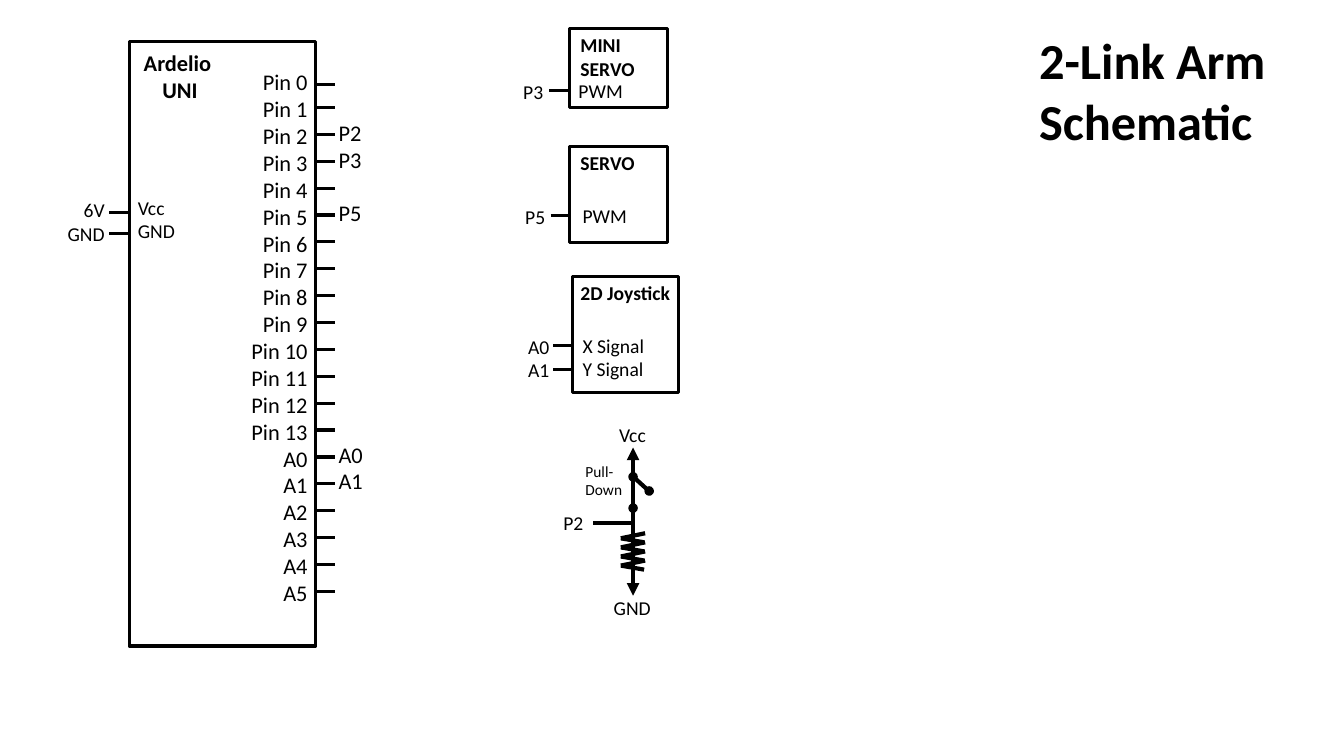
"""Builds the wiring schematic slide for a two-link arm."""
from lxml import etree
from pptx import Presentation
from pptx import util as u
from pptx.dml.color import RGBColor
from pptx.enum import shapes, text
from pptx.oxml.ns import qn

BLACK, WHITE = "000000", "FFFFFF"
LEFT, CENTER, RIGHT = text.PP_ALIGN.LEFT, text.PP_ALIGN.CENTER, text.PP_ALIGN.RIGHT

prs = Presentation()
prs.slide_width, prs.slide_height = u.Pt(960), u.Pt(540)
s = prs.slides.add_slide(prs.slide_layouts[6])


def add_label(lines, x, y, w, h, size=14, bold=False, align=LEFT):
    tf = s.shapes.add_textbox(*map(u.Pt, (x, y, w, h))).text_frame
    tf.word_wrap = False
    tf.auto_size = text.MSO_AUTO_SIZE.SHAPE_TO_FIT_TEXT
    for i, line in enumerate(lines):
        p = tf.paragraphs[0] if i == 0 else tf.add_paragraph()
        p.alignment = align
        r = p.add_run()
        r.text = line
        for key, value in {"size": u.Pt(size), "bold": bold, "name": "Calibri"}.items():
            setattr(r.font, key, value)
        r.font.color.rgb = RGBColor.from_string(BLACK)


def add_wire(x1, y1, x2, y2, width=2.25):
    c = s.shapes.add_connector(shapes.MSO_CONNECTOR.STRAIGHT, *map(u.Pt, (x1, y1, x2, y2)))
    c.line.width = u.Pt(width)
    c.line.color.rgb = RGBColor.from_string(BLACK)
    etree.SubElement(c._element.spPr, qn("a:effectLst"))
    return c


pin_ys = [60.5] + [57.6 + 19.2 * i for i in range(1, 20)]
wires = [(205.5, y, 239, y) for y in pin_ys]
wires += [(78, y, 111.6, y) for y in (152, 167)]
wires += [(392.5, 64.8, 425.5, 64.8), (393.3, 154.1, 427, 154.1)]
wires += [(395.3, y, 428.4, y) for y in (247, 264.2)]
for wire in wires:
    add_wire(*wire)

rect, oval = shapes.MSO_SHAPE.RECTANGLE, shapes.MSO_SHAPE.OVAL
blocks = [
    (rect, 92.2, 29.5, 133.2, 432, WHITE, 2.25),
    (rect, 406.8, 20.2, 69.8, 56.9, WHITE, 2.25),
    (rect, 406.8, 104.4, 69.8, 69.1, WHITE, 2.25),
    (rect, 409, 197.6, 75.6, 82.8, WHITE, 2.25),
]
contacts = [(oval, x, y, 5.8, 5.8, BLACK, 1)
            for x, y in ((449.3, 337.7), (449.3, 360), (460.8, 347.8))]
for kind, x, y, w, h, fill, width in blocks + contacts:
    sp = s.shapes.add_shape(kind, *map(u.Pt, (x, y, w, h)))
    sp.shadow.inherit = False
    sp.fill.solid()
    sp.fill.fore_color.rgb = RGBColor.from_string(fill)
    sp.line.color.rgb = RGBColor.from_string(BLACK)
    sp.line.width = u.Pt(width)

for i in range(4):
    top = 380.9 + 6.5 * i
    add_wire(460.8, top, 443.5, top + 3.6, 3)
    add_wire(460.1, top + 6.5, 443.5, top + 3.6, 3)
supply = add_wire(452.2, 319.7, 452.2, 425.5, 3)
for end in ("a:headEnd", "a:tailEnd"):
    etree.SubElement(supply.line._get_or_add_ln(), qn(end), type="triangle")
add_wire(450, 338.4, 465.8, 352.8, 3)
add_wire(452.2, 373.7, 423.4, 373.7, 3)

pins = [f"Pin {i}" for i in range(14)] + [f"A{i}" for i in range(6)]
add_label(pins, 172.1, 45.4, 54.7, 414.7, 16, align=RIGHT)
for net, row in (("P2", 2), ("P3", 3), ("P5", 5), ("A0", 14), ("A1", 15)):
    add_label([net], 234.7, 43.2 + 19.15 * row, 32.4, 26.6, 16)

add_label(["Ardelio ", "UNI"], 92.2, 31.7, 72.7, 46.1, 16, True, CENTER)
add_label(["Vcc", "GND"], 91.4, 136.1, 41, 41)
add_label(["6V", "GND"], 41, 138.2, 41, 41, align=RIGHT)

add_label(["P3"], 366.5, 53.3, 28.8, 24.5, align=CENTER)
add_label(["PWM"], 406.1, 52.6, 46.8, 24.5)
add_label(["MINI", "SERVO"], 407.5, 20.2, 53.3, 41, bold=True)

add_label(["P5"], 367.9, 142.6, 28.8, 24.5, align=CENTER)
add_label(["PWM"], 409, 141.8, 46.8, 24.5)
add_label(["SERVO"], 407.5, 104.4, 53.3, 24.5, bold=True)

add_label(["A0", "A1"], 369.4, 235.4, 30.2, 41, align=RIGHT)
add_label(["X Signal", "Y Signal"], 409, 234.7, 59, 41)
add_label(["2D Joystick"], 407.5, 197.3, 79.2, 24.5, bold=True)

add_label(["Vcc"], 434.9, 298.8, 33.8, 24.5, align=CENTER)
add_label(["Pull-", "Down"], 411.1, 326.2, 41, 33.8, 11)
add_label(["P2"], 395.3, 361.4, 28.8, 24.5)
add_label(["GND"], 431.3, 421.9, 41, 24.5)

add_label(["2-Link Arm", "Schematic"], 735.1, 17.3, 177.8, 94.3, 36, True)

prs.save("out.pptx")
